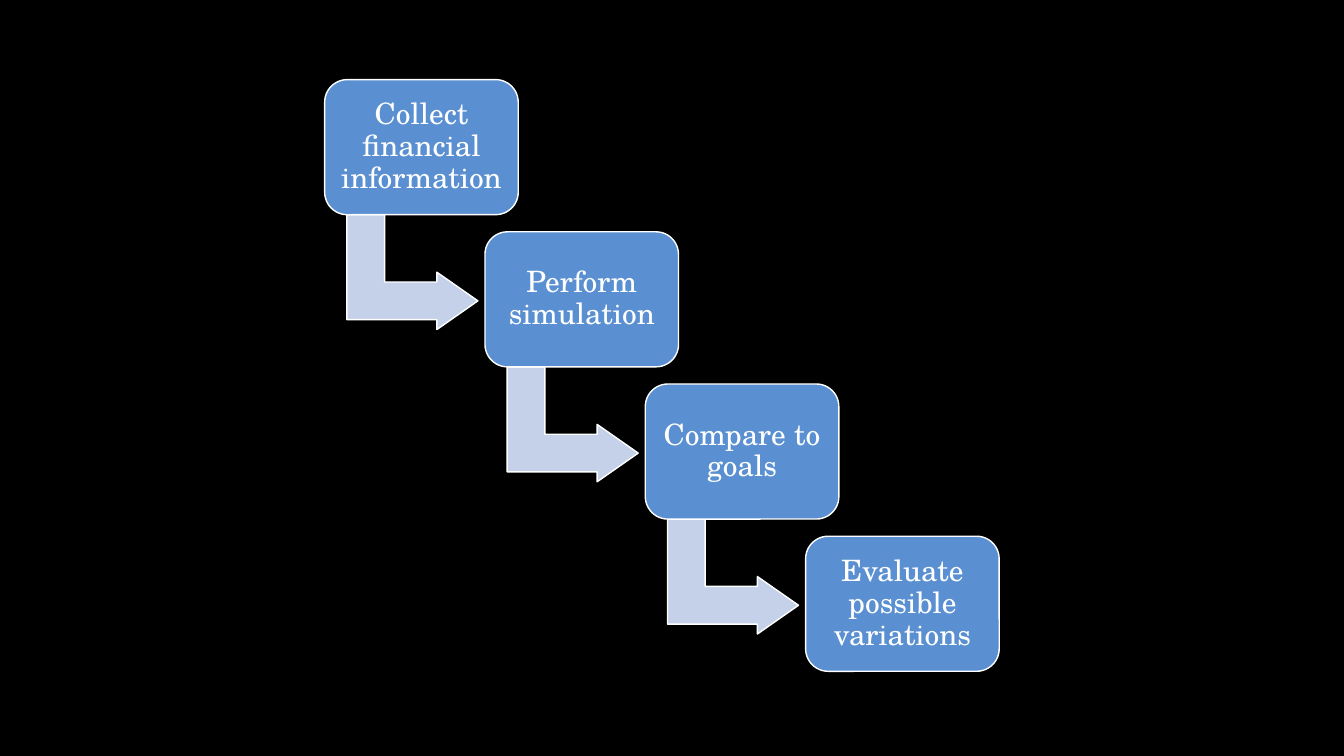
import dataclasses

import pptx
import pptx.dml.color
import pptx.enum.shapes
import pptx.enum.text
import pptx.util

Inches = pptx.util.Inches
Pt = pptx.util.Pt
RGBColor = pptx.dml.color.RGBColor
Kind = pptx.enum.shapes.MSO_SHAPE

BLACK = RGBColor(0x00, 0x00, 0x00)
WHITE = RGBColor(0xFF, 0xFF, 0xFF)
BLUE = RGBColor(0x5A, 0x90, 0xD1)
PALE = RGBColor(0xC4, 0xD1, 0xE9)
FONT = "TeX Gyre Schola"

# Staircase: first box, box size and the step between boxes
LEFT, TOP = 3.22, 0.79
WIDE, HIGH = 1.92, 1.34
STEP_X, STEP_Y = 1.59, 1.51


@dataclasses.dataclass
class Step:
    text: str
    left: float
    top: float


def add_part(slide, kind, left: float, top: float, wide: float, high: float,
             fill: RGBColor, bends: list[float]):
    """Add a filled shape with a thin white outline."""
    part = slide.shapes.add_shape(
        kind, Inches(left), Inches(top), Inches(wide), Inches(high))
    part.shadow.inherit = False
    part.fill.solid()
    part.fill.fore_color.rgb = fill
    part.line.color.rgb = WHITE
    part.line.width = Pt(1)
    for index, bend in enumerate(bends):
        part.adjustments[index] = bend
    return part


def write(shape, text: str, *, size: float = 21, color: RGBColor = WHITE,
          font: str = FONT, inset: float = 0.08) -> None:
    """Write centred text inside a shape."""
    frame = shape.text_frame
    frame.word_wrap = True
    frame.vertical_anchor = pptx.enum.text.MSO_ANCHOR.MIDDLE
    frame.margin_left = frame.margin_right = Inches(inset)
    frame.margin_top = frame.margin_bottom = Inches(inset)
    line = frame.paragraphs[0]
    line.alignment = pptx.enum.text.PP_ALIGN.CENTER
    line.line_spacing = 0.9
    run = line.add_run()
    run.text = text
    run.font.size = Pt(size)
    run.font.name = font
    run.font.color.rgb = color


def add_arrow(slide, step: Step) -> None:
    """Lead from under a box to the next one."""
    arrow = add_part(slide, Kind.BENT_UP_ARROW, step.left + 0.3,
                     step.top + 1.26, 1.14, 1.3, PALE, [0.328, 0.25, 0.358])
    arrow.rotation = 90


def add_box(slide, step: Step) -> None:
    box = add_part(slide, Kind.ROUNDED_RECTANGLE, step.left, step.top,
                   WIDE, HIGH, BLUE, [0.167])
    write(box, step.text)


def main() -> None:
    deck = pptx.Presentation()
    deck.slide_width = Inches(13.33)
    deck.slide_height = Inches(7.5)
    slide = deck.slides.add_slide(deck.slide_layouts[6])
    slide.background.fill.solid()
    slide.background.fill.fore_color.rgb = BLACK

    # Steps run down and to the right
    texts = ["Collect financial information", "Perform simulation",
             "Compare to goals", "Evaluate possible variations"]
    steps = [Step(text, LEFT + i * STEP_X, TOP + i * STEP_Y)
             for i, text in enumerate(texts)]
    for step in steps:
        if step is not steps[-1]:
            add_arrow(slide, step)
        add_box(slide, step)

    deck.save("out.pptx")


if __name__ == "__main__":
    main()
